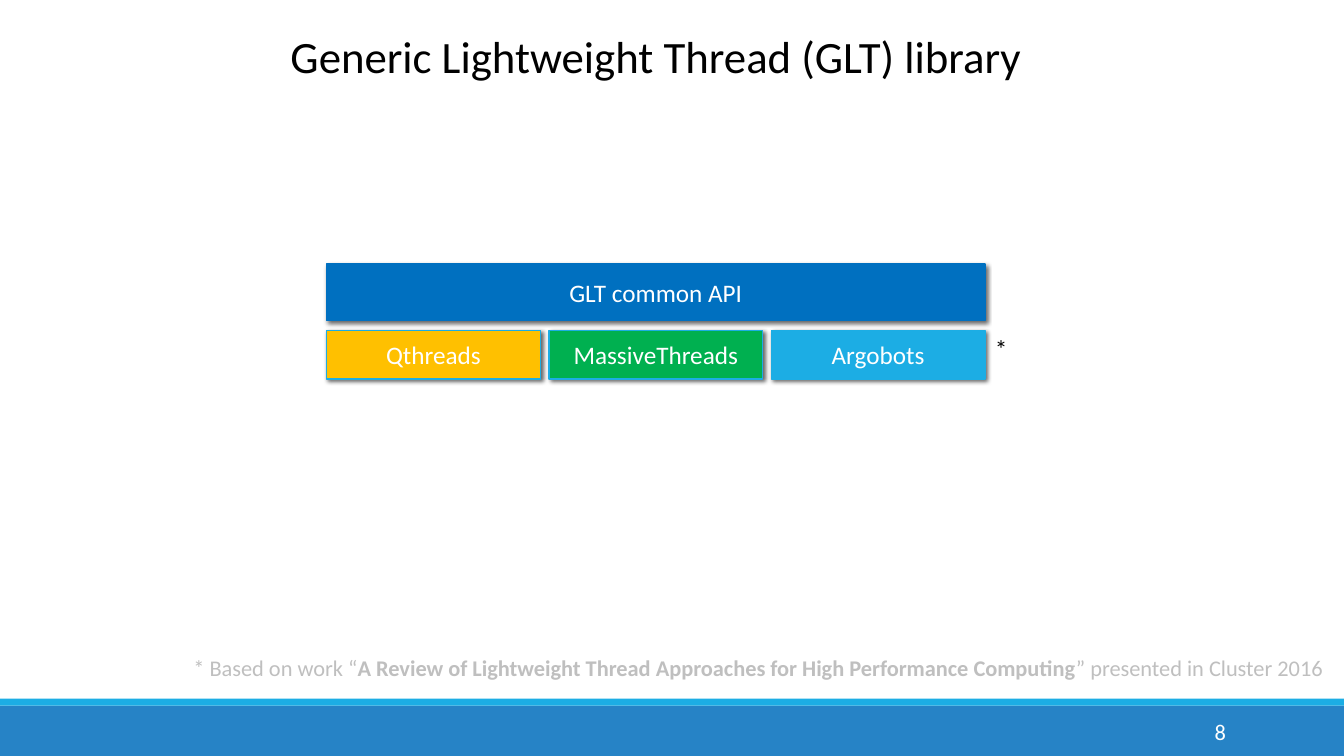
from lxml import etree
from pptx import Presentation
from pptx.dml.color import RGBColor
from pptx.enum.shapes import MSO_SHAPE
from pptx.enum.text import MSO_ANCHOR as ANCHOR, MSO_AUTO_SIZE as AUTO, PP_ALIGN as ALIGN
from pptx.oxml.ns import qn
from pptx.util import Inches, Pt

COLORS = {
    "white": "FFFFFF", "black": "000000", "grey": "BFBFBF", "band": "2683C6",
    "cyan": "1CADE4", "blue": "0070C0", "amber": "FFC000", "green": "00B050",
}


class Deck:
    font = "Calibri"

    def __init__(self, width, height):
        self.prs = Presentation()
        self.prs.slide_width = Inches(width)
        self.prs.slide_height = Inches(height)
        self.s = self.prs.slides.add_slide(self.prs.slide_layouts[5])

    def color(self, name):
        return RGBColor.from_string(COLORS[name])

    def place(self, x, y, w, h):
        width, height = self.prs.slide_width, self.prs.slide_height
        return [int(share * size / 100)
                for share, size in zip((x, y, w, h), (width, height) * 2)]

    def add_runs(self, sp, runs, size, color, align=ALIGN.LEFT, anchor=ANCHOR.TOP, wrap=True):
        tf = sp.text_frame
        tf.word_wrap = wrap
        tf.auto_size = AUTO.NONE
        tf.vertical_anchor = anchor
        p = tf.paragraphs[0]
        p.alignment = align
        for text, bold in runs:
            r = p.add_run()
            r.text = text
            r.font.name = self.font
            r.font.size = Pt(size)
            r.font.bold = bold
            r.font.color.rgb = self.color(color)

    def title(self, area, text):
        sp = self.s.shapes.title
        sp.left, sp.top, sp.width, sp.height = self.place(*area)
        self.add_runs(sp, [(text, False)], 32, "black", ALIGN.CENTER)

    def text(self, area, runs, size, color, **layout):
        sp = self.s.shapes.add_textbox(*self.place(*area))
        self.add_runs(sp, runs, size, color, **layout)

    def bar(self, area, fill):
        sp = self.s.shapes.add_shape(MSO_SHAPE.RECTANGLE, *self.place(*area))
        sp.shadow.inherit = False
        sp.fill.solid()
        sp.fill.fore_color.rgb = self.color(fill)
        sp.line.fill.background()
        return sp

    def block(self, area, text, fill, line):
        sp = self.bar(area, fill)
        sp.line.color.rgb = self.color(line)
        sp.line.width = Pt(1)
        self.cast_shadow(sp)
        self.add_runs(sp, [(text, False)], 18, "white", ALIGN.CENTER, ANCHOR.MIDDLE)

    def cast_shadow(self, sp):
        effects = sp.element.spPr.find(qn("a:effectLst"))
        shadow = etree.SubElement(
            effects, qn("a:outerShdw"), blurRad=str(Pt(3)), dist=str(Pt(2)),
            dir=str(45 * 60000), algn="tl", rotWithShape="0")
        tone = etree.SubElement(shadow, qn("a:srgbClr"), val=COLORS["black"])
        etree.SubElement(tone, qn("a:alpha"), val="60000")


def main():
    deck = Deck(13.33, 7.5)
    deck.bar((0, 93.33, 100, 6.67), "band")
    deck.bar((0, 92.4, 100, 0.93), "cyan")
    deck.title((14.4, 3.07, 68.85, 8.53), "Generic Lightweight Thread (GLT) library")

    left, total, width = 24.3, 48.98, 15.9
    step = (total - width) / 2
    deck.block((left, 34.93, total, 7.47), "GLT common API", "blue", "blue")
    libraries = [("Qthreads", "amber"), ("MassiveThreads", "green"), ("Argobots", "cyan")]
    for i, (name, fill) in enumerate(libraries):
        deck.block((left + i * step, 43.73, width, 6.4), name, fill, "cyan")
    deck.text((left + total, 43.47, 2.48, 5.33), [("*", False)], 18, "black", wrap=False)

    deck.text((13.65, 85.87, 86.35, 4.93), [
        ("* Based on work “", False),
        ("A Review of Lightweight Thread Approaches for High Performance Computing", True),
        ("” presented in Cluster 2016", False),
    ], 16, "grey")
    deck.text((81.23, 94.13, 10.73, 5.33), [("8", False)], 16, "white",
              align=ALIGN.RIGHT, anchor=ANCHOR.MIDDLE)
    deck.prs.save("out.pptx")


if __name__ == "__main__":
    main()
